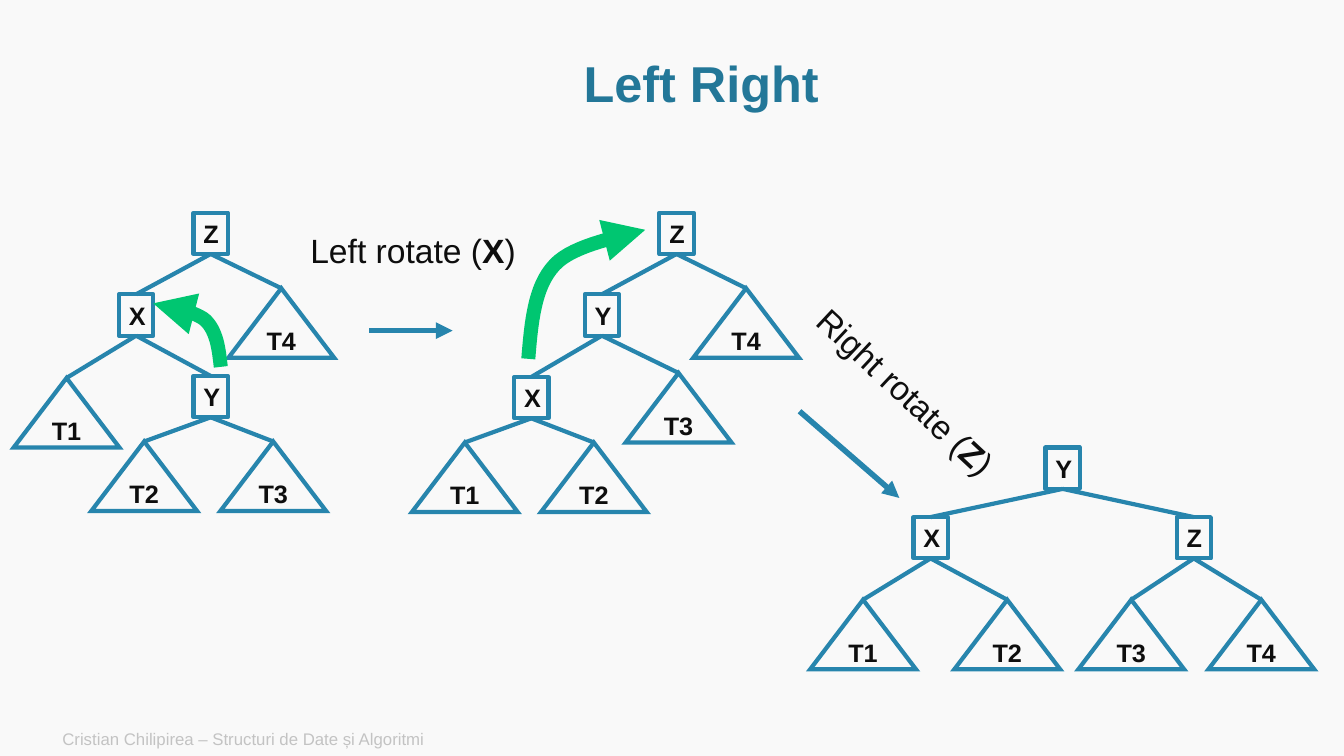
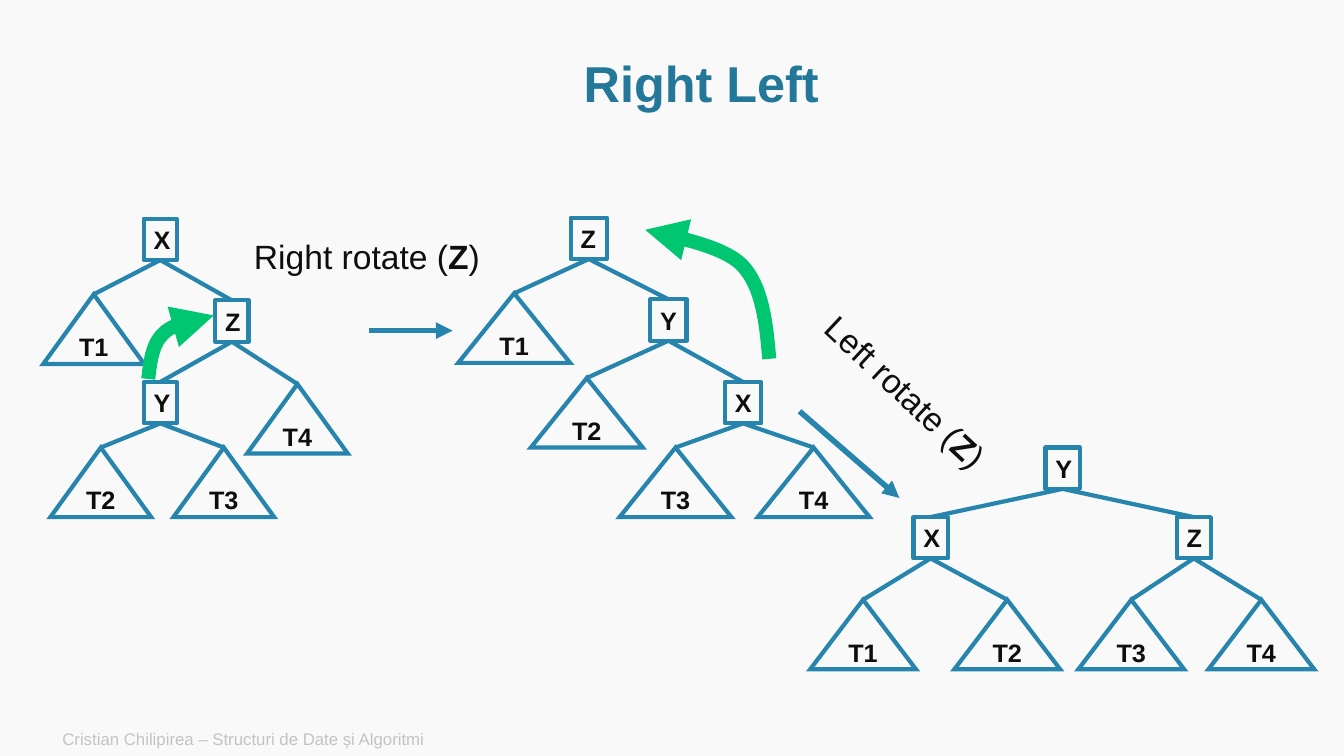
"""Two slides that show double rotations in binary search trees."""
from lxml.etree import SubElement
from pptx import Presentation
from pptx.dml.color import RGBColor
from pptx.enum.shapes import MSO_CONNECTOR as Connector, MSO_SHAPE as Shape
from pptx.enum.text import MSO_ANCHOR as Anchor, MSO_AUTO_SIZE as AutoSize, PP_ALIGN as Align
from pptx.oxml.ns import qn
from pptx.util import Pt

PX = 9144
COLORS = {"page": "F9F9F9", "title": "237798", "line": "2785AD",
          "text": "0E0E0E", "footer": "C3C3C3", "curve": "00C671"}
FONTS = {
    "title": {"size": Pt(36), "bold": True},
    "footer": {"size": Pt(12), "bold": False},
    "node": {"size": Pt(18), "bold": True},
    "step": {"size": Pt(24), "bold": False},
}
FOOTER = "Cristian Chilipirea – Structuri de Date și Algoritmi"
NODE_HEIGHT, LEAF_HEIGHT = 41, 69
CURVE_STEPS = 16

BALANCED = ("Y", 1054, 444,
            ("X", 923, 513, ("T1", 856, 595), ("T2", 999, 595)),
            ("Z", 1184, 513, ("T3", 1122, 595), ("T4", 1251, 595)))

SLIDES = [
    {
        "title": "Left Right",
        "trees": [
            (34, 105, ("Z", 209, 211,
                       ("X", 135, 292, ("T1", 66, 375),
                        ("Y", 209, 373, ("T2", 143, 438), ("T3", 271, 438))),
                       ("T4", 279, 286))),
            (34, 105, ("Z", 671, 211,
                       ("Y", 597, 292,
                        ("X", 527, 374, ("T1", 461, 439), ("T2", 589, 439)),
                        ("T3", 673, 370)),
                       ("T4", 740, 286))),
        ],
        "steps": [("Left rotate (", "X", (298, 223, 226, 50), 0),
                  ("Right rotate (", "Z", (776, 365, 248, 50), 43)],
        "curves": [
            [(219, 364), (217, 346), (215, 329), (204, 318), (193, 308), (163, 304), (152, 301)],
            [(524, 356), (527, 320), (530, 284), (550, 263), (569, 242), (620, 234), (640, 228)],
        ],
    },
    {
        "title": "Right Left",
        "trees": [
            (33, 100, ("X", 159, 217, ("T1", 93, 292),
                       ("Z", 230, 298,
                        ("Y", 159, 379, ("T2", 100, 444), ("T3", 222, 444)),
                        ("T4", 295, 381)))),
            (36, 111, ("Z", 584, 216, ("T1", 510, 291),
                       ("Y", 663, 297, ("T2", 582, 375),
                        ("X", 737, 379, ("T3", 670, 444), ("T4", 807, 444))))),
        ],
        "steps": [("Right rotate (", "Z", (242, 229, 248, 50), 0),
                  ("Left rotate (", "Z", (787, 365, 226, 50), 43)],
        "curves": [
            [(147, 376), (149, 359), (151, 341), (162, 331), (172, 320), (201, 316), (212, 313)],
            [(763, 356), (760, 320), (756, 284), (736, 263), (715, 242), (661, 234), (640, 228)],
        ],
    },
]


def emu(*lengths):
    """Turn px lengths into EMU."""
    return [round(length * PX) for length in lengths]


def assign(target, values):
    """Set each attribute of target that values names."""
    for name, value in values.items():
        setattr(target, name, value)


def bezier(points):
    """Sample a chain of cubic curves that share their end points."""
    samples = [points[0]]
    for first in range(0, len(points) - 1, 3):
        corners = points[first:first + 4]
        for step in range(1, CURVE_STEPS + 1):
            t = step / CURVE_STEPS
            weights = ((1 - t) ** 3, 3 * t * (1 - t) ** 2, 3 * t * t * (1 - t), t ** 3)
            samples.append(tuple(sum(weight * corner[axis] for weight, corner in zip(weights, corners))
                                 for axis in (0, 1)))
    return samples


class Board:
    """Holds the deck, its style and the current slide."""

    def __init__(self):
        """Start an empty deck."""
        self.deck = Presentation()
        self.deck.slide_width, self.deck.slide_height = emu(1333, 750)
        self.page = None

    def add_page(self, title):
        """Add a slide with its background, footer and title."""
        self.page = self.deck.slides.add_slide(self.deck.slide_layouts[6])
        fill = self.page.background.fill
        fill.solid()
        fill.fore_color.rgb = RGBColor.from_string(COLORS["page"])
        middle = {"word_wrap": True, "vertical_anchor": Anchor.MIDDLE}
        self.text_box((52, 716, 840, 34), [FOOTER], "footer", "footer", middle,
                      {"alignment": Align.LEFT})
        self.text_box((114, 51, 1163, 69), [title], "title", "title", middle,
                      {"alignment": Align.CENTER, "line_spacing": 0.9})

    def put_text(self, frame, texts, font, color, layout, paragraph):
        """Fill a text frame with one paragraph; every second run is bold."""
        assign(frame, layout)
        para = frame.paragraphs[0]
        assign(para, paragraph)
        for index, text in enumerate(texts):
            span = para.add_run()
            span.text = text
            assign(span.font, {"name": "Arial", **FONTS[font]})
            span.font.color.rgb = RGBColor.from_string(COLORS[color])
            if index % 2:
                span.font.bold = True

    def text_box(self, place, *text):
        """Add a text box."""
        box = self.page.shapes.add_textbox(*emu(*place))
        self.put_text(box.text_frame, *text)
        return box

    def stroke(self, shape, color, width, ending=None, **details):
        """Style an outline and add a join or an arrowhead to it."""
        shape.line.color.rgb = RGBColor.from_string(COLORS[color])
        shape.line.width = Pt(width)
        if ending:
            SubElement(shape.element.spPr.find(qn("a:ln")), qn(ending), **details)

    def outline(self, shape, *stroke, **details):
        """Give a shape an outline without fill or shadow."""
        shape.shadow.inherit = False
        shape.fill.background()
        self.stroke(shape, *stroke, **details)

    def connector(self, start, end, width, *ending, **details):
        """Add a straight line without a shadow."""
        line = self.page.shapes.add_connector(Connector.STRAIGHT, *emu(*start, *end))
        self.stroke(line, "line", width, *ending, **details)
        SubElement(line.element.spPr, qn("a:effectLst"))
        return line

    def arrow(self, start, end):
        """Add a straight arrow."""
        self.connector(start, end, 4, "a:tailEnd", type="triangle")

    def node(self, label, center, top, width):
        """Add a square tree node."""
        box = self.page.shapes.add_shape(
            Shape.RECTANGLE, *emu(center - width / 2, top, width, NODE_HEIGHT))
        self.outline(box, "line", 3)
        self.put_text(box.text_frame, [label], "node", "text",
                      {"word_wrap": False, "vertical_anchor": Anchor.MIDDLE},
                      {"alignment": Align.LEFT})
        return box

    def leaf(self, label, center, top, width):
        """Add a triangle that stands for a subtree."""
        box = self.page.shapes.add_shape(
            Shape.ISOSCELES_TRIANGLE, *emu(center - width / 2, top, width, LEAF_HEIGHT))
        self.outline(box, "line", 3, "a:miter", lim="800000")
        self.put_text(box.text_frame, [label], "node", "text",
                      {"word_wrap": True, "vertical_anchor": Anchor.MIDDLE},
                      {"alignment": Align.CENTER})
        return box

    def tree(self, node_width, leaf_width, root):
        """Add a tree and join each parent to its children."""
        label, center, top, *children = root
        if not children:
            return self.leaf(label, center, top, leaf_width)
        parent = self.node(label, center, top, node_width)
        for child in children:
            box = self.tree(node_width, leaf_width, child)
            edge = self.connector((center, top + NODE_HEIGHT), child[1:3], 3)
            edge.begin_connect(parent, 2)
            edge.end_connect(box, 0)
        return parent

    def step(self, action, key, place, rotation):
        """Add the name of a rotation with its key in bold."""
        box = self.text_box(place, [action, key, ")"], "step", "text",
                            {"word_wrap": False, "auto_size": AutoSize.SHAPE_TO_FIT_TEXT},
                            {"alignment": Align.LEFT})
        box.rotation = rotation

    def curve(self, points):
        """Add a thick curved arrow."""
        start, *others = [emu(*point) for point in bezier(points)]
        builder = self.page.shapes.build_freeform(*start)
        builder.add_line_segments(others, close=False)
        self.outline(builder.convert_to_shape(), "curve", 10, "a:tailEnd", type="triangle")


def main():
    """Build and save the deck."""
    board = Board()
    for content in SLIDES:
        board.add_page(content["title"])
        for tree in [*content["trees"], (34, 105, BALANCED)]:
            board.tree(*tree)
        board.arrow((366, 328), (449, 328))
        board.arrow((793, 408), (892, 494))
        for step in content["steps"]:
            board.step(*step)
        for points in content["curves"]:
            board.curve(points)
    board.deck.save("out.pptx")


if __name__ == "__main__":
    main()
